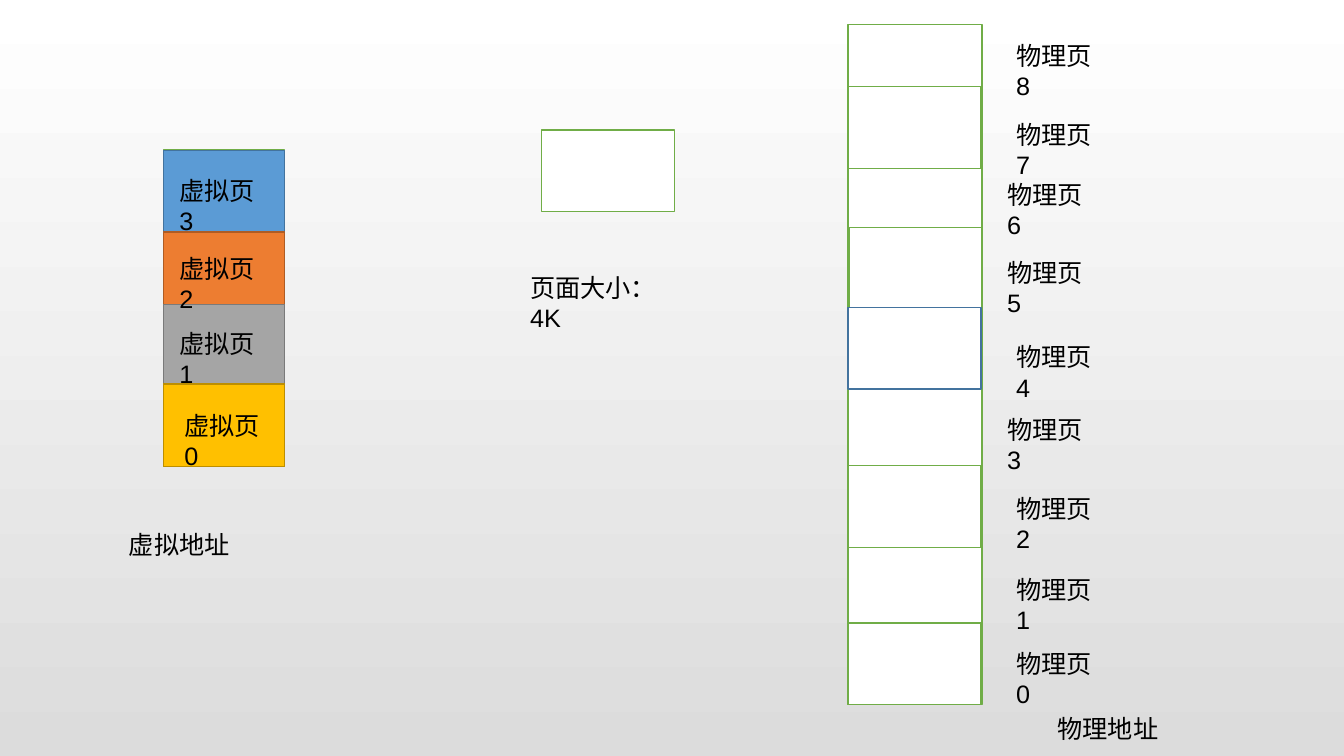
from pptx import Presentation
from pptx.dml.color import RGBColor
from pptx.enum.shapes import MSO_SHAPE
from pptx.enum.text import MSO_ANCHOR, MSO_AUTO_SIZE, PP_ALIGN
from pptx.util import Inches, Pt

WIDE, HIGH = 13.33, 7.5
GREEN, BLUE, WHITE = "70AD47", "43739E", "FFFFFF"
PAGE = (1.32, 0.81)
FONT = {"name": "Arial", "size": Pt(18)}
FRAME = {"auto_size": MSO_AUTO_SIZE.SHAPE_TO_FIT_TEXT,
         "vertical_anchor": MSO_ANCHOR.TOP}

# Virtual pages from the top: height, fill, line, label offset from the box
VIRTUAL = [
    (0.81, "5B9BD5", BLUE, (0.06, 0.2)),
    (0.72, "ED7D31", "AF5C24", (0.06, 0.97)),
    (0.79, "A5A5A5", "7A7A7A", (0.06, 1.72)),
    (0.82, "FFC000", "BD8E00", (0.11, 2.53)),
]
# Raised physical pages: offset from the box, line
RAISED = [(0, 0.62, GREEN), (0.01, 2.02, GREEN), (0, 4.38, GREEN),
          (0, 5.94, GREEN), (0, 2.81, BLUE)]
# Physical page labels from 8 down to 0: offset from the box
MARKS = [(1.57, 0.11), (1.57, 0.89), (1.48, 1.49), (1.48, 2.26), (1.57, 3.1),
         (1.48, 3.82), (1.57, 4.6), (1.57, 5.41), (1.57, 6.14)]


def paint(code):
    return RGBColor.from_string(code)


def assign(item, values):
    for key, value in values.items():
        setattr(item, key, value)


def block(slide, x, y, w, h, fill=WHITE, line=GREEN):
    shape = slide.shapes.add_shape(
        MSO_SHAPE.RECTANGLE, Inches(x), Inches(y), Inches(w), Inches(h))
    shape.shadow.inherit = False
    shape.fill.solid()
    shape.fill.fore_color.rgb = paint(fill)
    shape.line.color.rgb = paint(line)
    shape.line.width = Pt(1)


def label(slide, text, x, y, w=1.08, wrap=True):
    box = slide.shapes.add_textbox(Inches(x), Inches(y), Inches(w), Inches(0.4))
    frame = box.text_frame
    assign(frame, {**FRAME, "word_wrap": wrap})
    para = frame.paragraphs[0]
    para.alignment = PP_ALIGN.LEFT
    run = para.add_run()
    run.text = text
    assign(run.font, FONT)
    run.font.color.rgb = paint("000000")


def backdrop(slide):
    fill = slide.background.fill
    fill.gradient()
    fill.gradient_angle = 270
    for stop, code, place in zip(fill.gradient_stops, (WHITE, "DCDCDC"), (0, 1)):
        stop.color.rgb = paint(code)
        stop.position = place


def virtual(slide, x, y, w, h):
    block(slide, x, y, w, h)
    top = y
    for tall, fill, line, _ in VIRTUAL:
        block(slide, x, top, w, tall, fill, line)
        top += tall
    for row, (*_, (dx, dy)) in enumerate(VIRTUAL):
        label(slide, f"虚拟页{len(VIRTUAL) - 1 - row}", x + dx, y + dy)
    label(slide, "虚拟地址", x - 0.44, y + h + 0.57, 1.2, False)


def physical(slide, x, y, w, h):
    block(slide, x, y, w, h)
    for dx, dy, line in RAISED:
        block(slide, x + dx, y + dy, *PAGE, line=line)
    for row, (dx, dy) in enumerate(MARKS):
        label(slide, f"物理页{len(MARKS) - 1 - row}", x + dx, y + dy)
    label(slide, "物理地址", x + 1.98, y + h + 0.04, 1.2, False)


def sample(slide, x, y, w, h):
    """Show one page with its size."""
    block(slide, x, y, w, h)
    label(slide, "页面大小：4K", x - 0.21, y + h + 0.55, 1.74)


def main():
    deck = Presentation()
    assign(deck, {"slide_width": Inches(WIDE), "slide_height": Inches(HIGH)})
    slide = deck.slides.add_slide(deck.slide_layouts[6])
    backdrop(slide)
    virtual(slide, 1.62, 1.49, 1.2, 3.14)
    physical(slide, 8.41, 0.24, 1.33, 6.75)
    sample(slide, 5.37, 1.29, *PAGE)
    deck.save("out.pptx")


if __name__ == "__main__":
    main()
